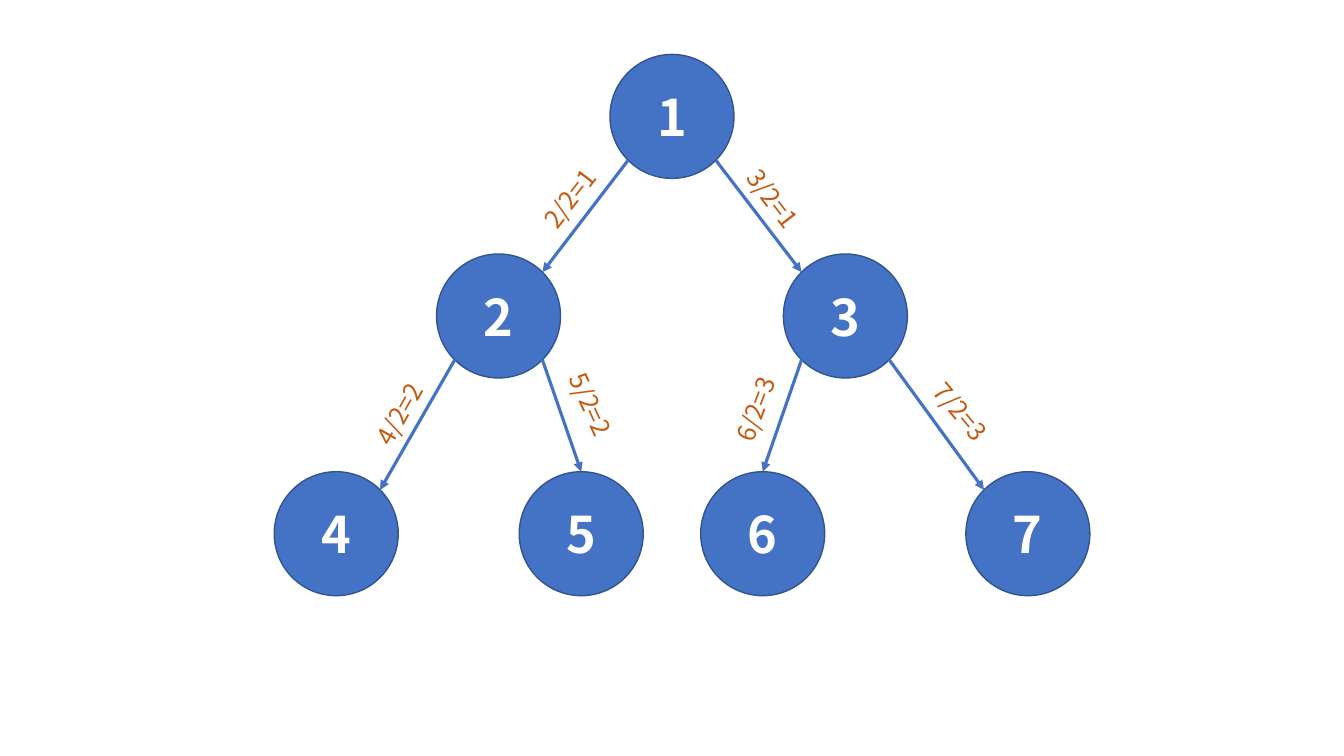
import math
from lxml import etree
from pptx import Presentation
from pptx.dml.color import RGBColor
from pptx.enum import shapes, text
from pptx.oxml import ns
from pptx.util import Inches, Pt

# Content: left and top of each node; each child's parent is number // 2
NODES = {
    1: (6.05, 0.54),
    2: (4.33, 2.52), 3: (7.77, 2.52),
    4: (2.72, 4.68), 5: (5.15, 4.68), 6: (6.95, 4.68), 7: (9.58, 4.68),
}
# child: (label, left, top, rotation)
EDGES = {
    2: ("2/2=1", 5.22, 1.76, 307.9),
    3: ("3/2=1", 7.24, 1.78, 52.6),
    4: ("4/2=2", 3.53, 3.90, 299.6),
    5: ("5/2=2", 5.43, 3.82, 65.5),
    6: ("6/2=3", 7.06, 3.85, 290.2),
    7: ("7/2=3", 9.10, 3.89, 50.2),
}
ENTER_AT_TOP = {5, 6}
COLORS = {"node": "4472C4", "outline": "325491", "number": "FFFFFF", "label": "C55A11"}
FONT = "Noto Sans CJK SC"
DIAMETER = 1.23
LABEL_SIZE = (0.87, 0.4)


def color(name):
    return RGBColor.from_string(COLORS[name])


def style(paragraph, size, color_name, bold=False):
    font = paragraph.font
    font.name, font.size, font.bold = FONT, Pt(size), bold
    font.color.rgb = color(color_name)


def rim(number, degrees):
    """Point on a node's rim, clockwise from the right-hand side."""
    radius, angle = DIAMETER / 2, math.radians(degrees)
    left, top = NODES[number]
    return (Inches(left + radius + radius * math.cos(angle)),
            Inches(top + radius + radius * math.sin(angle)))


def add_node(slide, number):
    left, top = NODES[number]
    node = slide.shapes.add_shape(shapes.MSO_SHAPE.OVAL, Inches(left), Inches(top),
                                  Inches(DIAMETER), Inches(DIAMETER))
    node.shadow.inherit = False
    node.fill.solid()
    node.fill.fore_color.rgb = color("node")
    node.line.color.rgb = color("outline")
    node.line.width = Pt(1)
    frame = node.text_frame
    frame.text = str(number)
    frame.vertical_anchor = text.MSO_ANCHOR.MIDDLE
    frame.paragraphs[0].alignment = text.PP_ALIGN.CENTER
    style(frame.paragraphs[0], 36, "number", bold=True)


def add_arrow(slide, child):
    goes_left = child % 2 == 0
    start = rim(child // 2, 135 if goes_left else 45)
    entry = -90 if child in ENTER_AT_TOP else (-45 if goes_left else -135)
    arrow = slide.shapes.add_connector(shapes.MSO_CONNECTOR.STRAIGHT,
                                       *start, *rim(child, entry))
    arrow.line.color.rgb = color("node")
    arrow.line.width = Pt(2.25)
    etree.SubElement(arrow.line._get_or_add_ln(), ns.qn("a:tailEnd"), type="triangle")
    etree.SubElement(arrow._element.spPr, ns.qn("a:effectLst"))


def add_label(slide, child):
    wording, left, top, rotation = EDGES[child]
    label = slide.shapes.add_textbox(Inches(left), Inches(top), *map(Inches, LABEL_SIZE))
    label.rotation = rotation
    frame = label.text_frame
    frame.word_wrap = False
    frame.auto_size = text.MSO_AUTO_SIZE.SHAPE_TO_FIT_TEXT
    frame.text = wording
    style(frame.paragraphs[0], 18, "label")


def main():
    deck = Presentation()
    deck.slide_width, deck.slide_height = Inches(13.33), Inches(7.5)
    slide = deck.slides.add_slide(deck.slide_layouts[6])

    # Tree nodes
    for number in NODES:
        add_node(slide, number)

    # Arrows to the children, with their labels
    for child in EDGES:
        add_arrow(slide, child)
        add_label(slide, child)

    deck.save("out.pptx")


if __name__ == "__main__":
    main()
